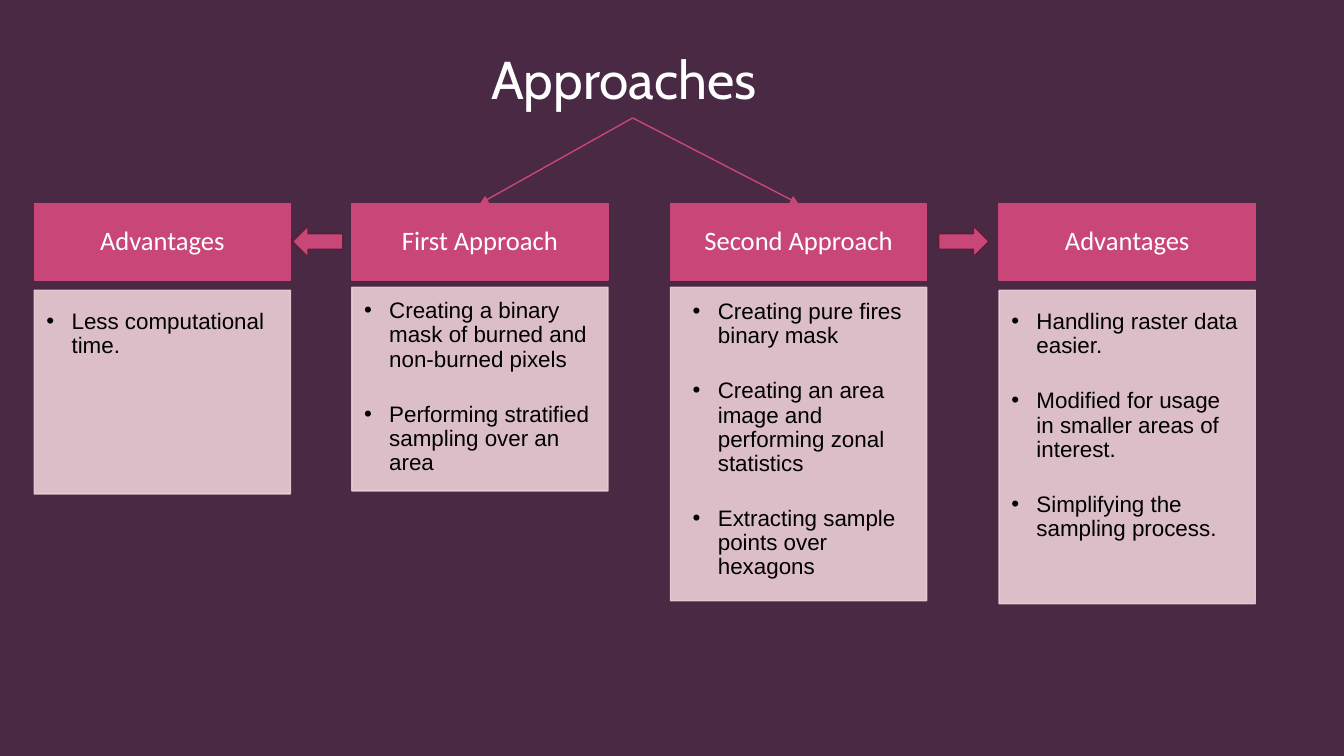
import pptx
import pptx.dml.color
import pptx.enum.dml
import pptx.enum.shapes
import pptx.enum.text
import pptx.oxml
import pptx.oxml.ns
import pptx.util
from pptx.util import Inches, Pt

TITLE = "Approaches"
# heading, left, panel top, panel height, (inset left, top, right), bullets
COLUMNS = [
    ("Advantages", 0.34, 2.88, 2.02, (0.12, 0.2, 0.16),
     ["Less computational time."]),
    ("First Approach", 3.49, 2.85, 2.02, (0.12, 0.12, 0.16),
     ["Creating a binary mask of burned and non-burned pixels",
      "Performing stratified sampling over an area"]),
    ("Second Approach", 6.65, 2.85, 3.11, (0.22, 0.13, 0.06),
     ["Creating pure fires binary mask",
      "Creating an area image and performing zonal statistics",
      "Extracting sample points over hexagons"]),
    ("Advantages", 9.91, 2.88, 3.11, (0.12, 0.2, 0.16),
     ["Handling raster data easier.",
      "Modified for usage in smaller areas of interest.",
      "Simplifying the sampling process."]),
]
ARROWS = [(2.9, 180), (9.31, 0)]  # left, rotation
COLUMN_WIDTH, HEADING_TOP, HEADING_HEIGHT = 2.54, 2.02, 0.76
PURPLE, PINK, PALE, DARK_PINK = "492943", "C94778", "EBCFD6", "581F35"
WHITE, BLACK = "FFFFFF", "000000"


def paint(color_format, color):
    color_format.rgb = pptx.dml.color.RGBColor.from_string(color)


def fill_and_outline(shape, fill, outline):
    shape.fill.solid()
    paint(shape.fill.fore_color, fill)
    paint(shape.line.color, outline)
    shape.line.width = Pt(1)


def add_child(parent, tag, **attributes):
    child = pptx.oxml.parse_xml(f"<a:{tag} {pptx.oxml.ns.nsdecls('a')}/>")
    for name, value in attributes.items():
        child.set(name, value)
    parent.append(child)


def place(shape, left, top, width, height):
    shape.left, shape.top = Inches(left), Inches(top)
    shape.width, shape.height = Inches(width), Inches(height)


def set_frame(frame, left, top, right, bottom, anchor):
    frame.margin_left, frame.margin_top = Inches(left), Inches(top)
    frame.margin_right, frame.margin_bottom = Inches(right), Inches(bottom)
    frame.vertical_anchor = anchor
    frame.word_wrap = True
    frame.auto_size = pptx.enum.text.MSO_AUTO_SIZE.NONE


def set_paragraph(para, font, size, color, align, spacing):
    para.alignment = align
    para.line_spacing = spacing
    para.space_before = para.space_after = Pt(0)
    para.font.name, para.font.size, para.font.bold = font, Pt(size), False
    paint(para.font.color, color)


def add_preset(page, preset, left, top, width, height, outline):
    shape = page.shapes.add_shape(preset, Inches(left), Inches(top),
                                  Inches(width), Inches(height))
    shape.shadow.inherit = False
    fill_and_outline(shape, PINK, outline)
    return shape


def add_heading(page, text, left):
    heading = add_preset(page, pptx.enum.shapes.MSO_SHAPE.RECTANGLE, left,
                         HEADING_TOP, COLUMN_WIDTH, HEADING_HEIGHT, PINK)
    set_frame(heading.text_frame, 0.15, 0.08, 0.15, 0.08,
              pptx.enum.text.MSO_ANCHOR.MIDDLE)
    para = heading.text_frame.paragraphs[0]
    para.text = text
    set_paragraph(para, "Calibri", 19, WHITE, pptx.enum.text.PP_ALIGN.CENTER, 0.9)
    return heading


def fill_panel(panel, left, top, height, insets, bullets):
    place(panel, left, top, COLUMN_WIDTH, height)
    fill_and_outline(panel, PALE, PALE)
    for color in panel.element.spPr.iter(pptx.oxml.ns.qn("a:srgbClr")):
        add_child(color, "alpha", val="90000")
    frame = panel.text_frame
    set_frame(frame, *insets, 0.17, pptx.enum.text.MSO_ANCHOR.TOP)
    for index, bullet in enumerate(bullets):
        para = frame.add_paragraph() if index else frame.paragraphs[0]
        para.text = bullet
        properties = para._p.get_or_add_pPr()
        properties.set("marL", str(Inches(0.25)))
        properties.set("indent", str(-Inches(0.25)))
        add_child(properties, "buFont", typeface="Arial")
        add_child(properties, "buChar", char="•")
        set_paragraph(para, "Arial", 16, BLACK, pptx.enum.text.PP_ALIGN.LEFT, 0.9)
        if index:
            para.space_before = Pt(22)


def connect(page, title, heading):
    line = page.shapes.add_connector(pptx.enum.shapes.MSO_CONNECTOR.STRAIGHT, 0, 0, 0, 0)
    line.begin_connect(title, 2)
    line.end_connect(heading, 0)
    paint(line.line.color, PINK)
    line.line.width = Pt(1)
    add_child(line.line._get_or_add_ln(), "tailEnd", type="triangle")
    add_child(line._element.spPr, "effectLst")


def main():
    deck = pptx.Presentation()
    deck.slide_width, deck.slide_height = Inches(13.33), Inches(7.5)
    comparison_layout = deck.slide_layouts[4]
    page = deck.slides.add_slide(comparison_layout)
    page.background.fill.solid()
    paint(page.background.fill.fore_color, PURPLE)

    title = page.shapes.title
    place(title, 4.77, 0.53, 3.01, 0.64)
    title.text = TITLE
    set_frame(title.text_frame, 0.1, 0.05, 0.1, 0.05, pptx.enum.text.MSO_ANCHOR.TOP)
    set_paragraph(title.text_frame.paragraphs[0], "Cabin", 38, WHITE,
                  pptx.enum.text.PP_ALIGN.LEFT, 0.8)

    headings = []
    for number, (text, left, *panel_content) in enumerate(COLUMNS, 1):
        headings.append(add_heading(page, text, left))
        fill_panel(page.placeholders[number], left, *panel_content)
    for heading in headings[1:3]:
        connect(page, title, heading)
    for left, rotation in ARROWS:
        arrow = add_preset(page, pptx.enum.shapes.MSO_SHAPE.RIGHT_ARROW,
                           left, 2.24, 0.5, 0.31, DARK_PINK)
        arrow.rotation = rotation

    for shape in list(page.placeholders):
        if not shape.text_frame.text:
            shape.element.getparent().remove(shape.element)
    deck.save("out.pptx")


if __name__ == "__main__":
    main()
